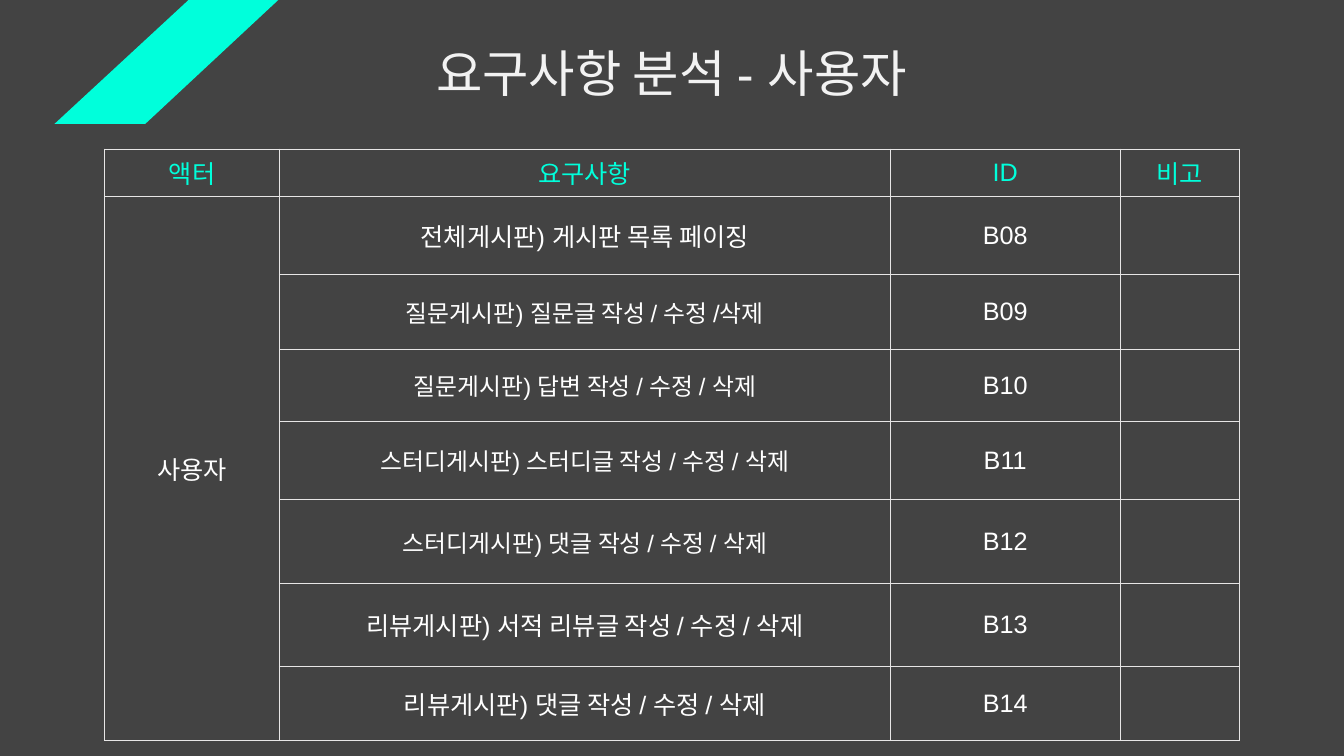
from dataclasses import dataclass

from lxml import etree
from pptx import Presentation
from pptx.dml.color import RGBColor
from pptx.enum.text import MSO_ANCHOR, PP_ALIGN
from pptx.oxml.ns import qn
from pptx.slide import Slide
from pptx.table import Table, _Cell
from pptx.text.text import TextFrame
from pptx.util import Inches, Pt

CENTER = PP_ALIGN.CENTER
MIDDLE = MSO_ANCHOR.MIDDLE
FONT = "Arial"
COLORS = {
    "background": "434343",
    "accent": "00FFDB",
    "border": "E7E6E6",
    "body": "FFFFFF",
    "title": "F2F2F2",
}
STRIPE_POINTS = [(2.76, 0), (1.87, 0), (0.54, 1.23), (1.44, 1.23)]
HEADERS = ["액터", "요구사항", "ID", "비고"]
COLUMN_WIDTHS = [1.73, 6.06, 2.28, 1.18]
HEADER_HEIGHT = 0.47
FIRST_ID = 8


@dataclass
class Requirement:
    text: str
    height: float
    size: int = 18


REQUIREMENTS = [
    Requirement("전체게시판) 게시판 목록 페이징", 0.77),
    Requirement("질문게시판) 질문글 작성 / 수정 /삭제", 0.75, 17),
    Requirement("질문게시판) 답변 작성 / 수정 / 삭제", 0.71, 17),
    Requirement("스터디게시판) 스터디글 작성 / 수정 / 삭제", 0.78, 17),
    Requirement("스터디게시판) 댓글 작성 / 수정 / 삭제", 0.83, 17),
    Requirement("리뷰게시판) 서적 리뷰글 작성 / 수정 / 삭제", 0.82),
    Requirement("리뷰게시판) 댓글 작성 / 수정 / 삭제", 0.74),
]


def rgb(name: str) -> RGBColor:
    return RGBColor.from_string(COLORS[name])


def write_text(text_frame: TextFrame, text: str, size: int, color: str) -> None:
    text_frame.text = text
    paragraph = text_frame.paragraphs[0]
    paragraph.alignment = CENTER
    for run in paragraph.runs:
        run.font.name = FONT
        run.font.size = Pt(size)
        run.font.color.rgb = rgb(color)


def style_cell(cell: _Cell) -> None:
    cell.fill.solid()
    cell.fill.fore_color.rgb = rgb("background")
    cell.vertical_anchor = MIDDLE
    properties = cell._tc.get_or_add_tcPr()
    for index, side in enumerate(("a:lnL", "a:lnR", "a:lnT", "a:lnB")):
        line = etree.Element(qn(side), w=str(Pt(0.75)))
        fill = etree.SubElement(line, qn("a:solidFill"))
        etree.SubElement(fill, qn("a:srgbClr"), val=COLORS["border"])
        properties.insert(index, line)


def add_stripe(slide: Slide) -> None:
    points = [(Inches(x), Inches(y)) for x, y in STRIPE_POINTS]
    builder = slide.shapes.build_freeform(*points[0])
    builder.add_line_segments(points[1:], close=True)
    stripe = builder.convert_to_shape()
    stripe.shadow.inherit = False
    stripe.fill.solid()
    stripe.fill.fore_color.rgb = rgb("accent")
    stripe.line.fill.background()


def add_requirement_table(slide: Slide) -> Table:
    heights = [HEADER_HEIGHT] + [item.height for item in REQUIREMENTS]
    table = slide.shapes.add_table(
        len(heights), len(HEADERS), Inches(1.04), Inches(1.48),
        Inches(sum(COLUMN_WIDTHS)), Inches(sum(heights)),
    ).table
    for column, width in zip(table.columns, COLUMN_WIDTHS):
        column.width = Inches(width)
    for row, height in zip(table.rows, heights):
        row.height = Inches(height)
    for cell in table.iter_cells():
        style_cell(cell)

    for column_index, header in enumerate(HEADERS):
        write_text(table.cell(0, column_index).text_frame, header, 18, "accent")
    for row_index, item in enumerate(REQUIREMENTS, start=1):
        requirement_id = f"B{FIRST_ID + row_index - 1:02d}"
        write_text(table.cell(row_index, 1).text_frame, item.text, item.size, "body")
        write_text(table.cell(row_index, 2).text_frame, requirement_id, 18, "body")

    actor = table.cell(1, 0)
    actor.merge(table.cell(len(REQUIREMENTS), 0))
    write_text(actor.text_frame, "사용자", 18, "body")
    return table


def add_title(slide: Slide) -> None:
    title = slide.shapes.add_textbox(
        Inches(1.15), Inches(0.37), Inches(11.02), Inches(0.71)
    )
    title.text_frame.word_wrap = True
    write_text(title.text_frame, "요구사항 분석 - 사용자", 36, "title")


def main() -> None:
    presentation = Presentation()
    presentation.slide_width = Inches(13.33)
    presentation.slide_height = Inches(7.5)
    slide = presentation.slides.add_slide(presentation.slide_layouts[6])
    slide.background.fill.solid()
    slide.background.fill.fore_color.rgb = rgb("background")
    add_stripe(slide)
    add_requirement_table(slide)
    add_title(slide)
    presentation.save("out.pptx")


if __name__ == "__main__":
    main()
